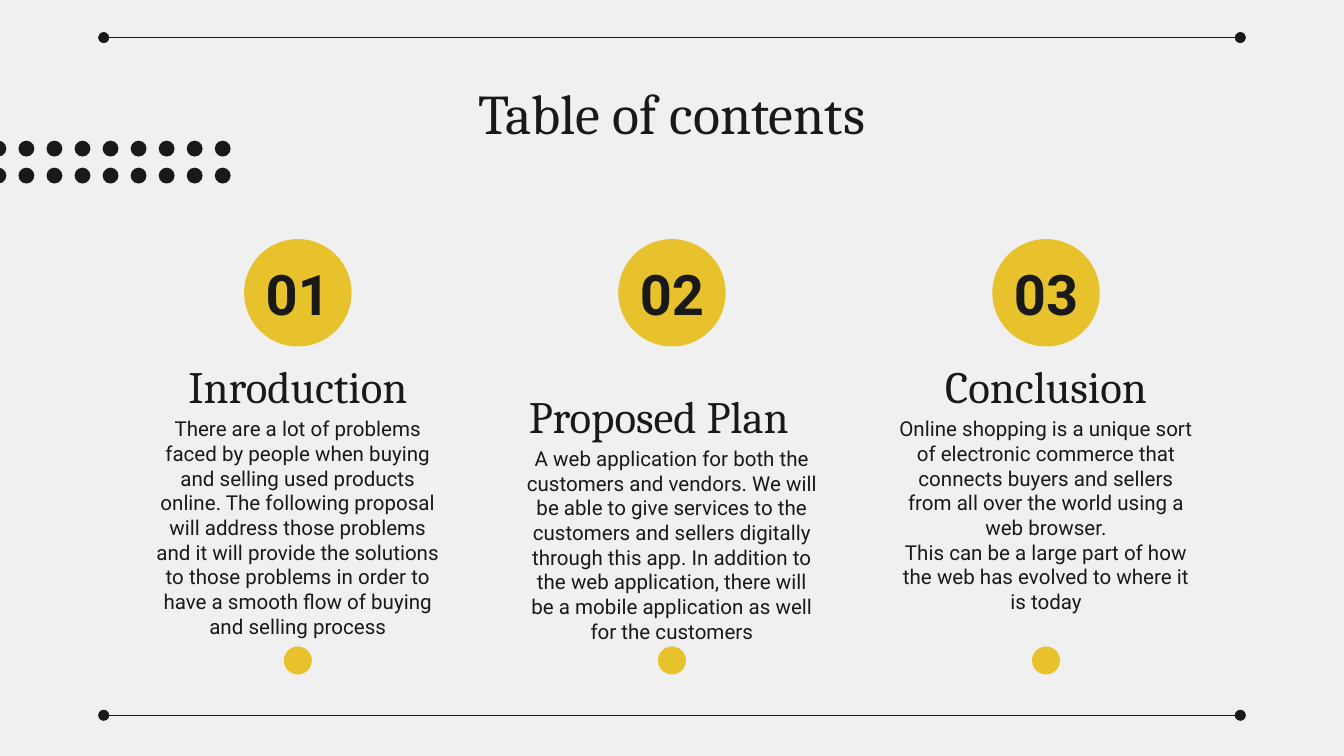
"""Build the table of contents slide with three numbered sections."""
import pptx
import pptx.dml.color
import pptx.enum.shapes
import pptx.enum.text
import pptx.oxml
import pptx.oxml.ns
import pptx.util
import lxml.etree

Cm = pptx.util.Cm
Anchor = pptx.enum.text.MSO_ANCHOR
BACKGROUND = pptx.dml.color.RGBColor(0xF0, 0xF0, 0xF0)
YELLOW = pptx.dml.color.RGBColor(0xE7, 0xC2, 0x2C)
BLACK = pptx.dml.color.RGBColor(0x19, 0x19, 0x19)
SERIF = "Cambria"
SANS = "Roboto"

SECTIONS = [
    ("01", "Inroduction", 0, 0, 4.6, [
        "There are a lot of problems faced by people when buying and selling used "
        "products online. The following proposal will address those problems and it "
        "will provide the solutions to those problems in order to have a smooth flow "
        "of buying and selling process"]),
    ("02", "Proposed Plan", -0.25, 0.56, 3.86, [
        "A web application for both the customers and vendors. We will be able to give "
        "services to the customers and sellers digitally through this app. In addition "
        "to the web application, there will be a mobile application as well for the "
        "customers"]),
    ("03", "Conclusion", 0, 0, 4.17, [
        "Online shopping is a unique sort of electronic commerce that connects buyers "
        "and sellers from all over the world using a web browser.",
        "This can be a large part of how the web has evolved to where it is today"]),
]


class SlideBuilder:
    def __init__(self, slide):
        self.slide = slide
        background = slide.background.fill
        background.solid()
        background.fore_color.rgb = BACKGROUND

    def circle(self, left, top, size, color, shapes=None):
        shapes = self.slide.shapes if shapes is None else shapes
        shape = shapes.add_shape(pptx.enum.shapes.MSO_SHAPE.OVAL,
                                 Cm(left), Cm(top), Cm(size), Cm(size))
        shape.shadow.inherit = False
        shape.fill.solid()
        shape.fill.fore_color.rgb = color
        shape.line.fill.background()

    def text(self, left, top, width, height, paragraphs, font, size,
             anchor=Anchor.TOP, bold=False):
        box = self.slide.shapes.add_textbox(Cm(left), Cm(top), Cm(width), Cm(height))
        frame = box.text_frame
        frame.word_wrap = True
        frame.vertical_anchor = anchor
        frame.margin_left = frame.margin_right = Cm(0.25)
        frame.margin_top = frame.margin_bottom = Cm(0.25)
        for index, content in enumerate(paragraphs):
            paragraph = frame.add_paragraph() if index else frame.paragraphs[0]
            paragraph.alignment = pptx.enum.text.PP_ALIGN.CENTER
            run = paragraph.add_run()
            run.text = content
            run.font.name = font
            run.font.size = pptx.util.Pt(size)
            run.font.bold = bold
            run.font.color.rgb = BLACK

    def rule(self, left, right, top):
        connector = self.slide.shapes.add_connector(
            pptx.enum.shapes.MSO_CONNECTOR.STRAIGHT, Cm(left), Cm(top), Cm(right), Cm(top))
        connector.line.color.rgb = BLACK
        connector.line.width = pptx.util.Pt(0.75)
        outline = connector.line._get_or_add_ln()
        for end in ("a:headEnd", "a:tailEnd"):
            lxml.etree.SubElement(outline, pptx.oxml.ns.qn(end), type="oval")
        lxml.etree.SubElement(connector._element.spPr, pptx.oxml.ns.qn("a:effectLst"))

    def dot_grid(self, left, top, columns, rows, column_step, row_step, size):
        group = self.slide.shapes.add_group_shape()
        for column in range(columns):
            for row in range(rows):
                self.circle(left + column * column_step, top + row * row_step,
                            size, BLACK, group.shapes)

    def section(self, center, number, heading, shift, drop, height, body):
        badge, marker, width = 2.03, 0.53, 6.05
        left = center - width / 2
        self.circle(center - badge / 2, 4.52, badge, YELLOW)
        self.text(center - badge / 2, 4.93, badge, 1.24, [number], SANS, 30,
                  Anchor.MIDDLE, True)
        self.text(left + shift, 6.58 + drop, width, 1.47, [heading], SERIF, 24,
                  Anchor.BOTTOM)
        self.text(left, 7.62 + drop, width, height, body, SANS, 11)
        self.circle(center - marker / 2, 12.22, marker, YELLOW)


def main():
    presentation = pptx.Presentation()
    presentation.slide_width = Cm(25.4)
    presentation.slide_height = Cm(14.29)
    builder = SlideBuilder(presentation.slides.add_slide(presentation.slide_layouts[6]))
    builder.text(2, 1.24, 21.4, 1.6, ["Table of contents"], SERIF, 30)
    for index, section in enumerate(SECTIONS):
        builder.section(12.7 + (index - 1) * 7.07, *section)
    for top in (0.71, 13.52):
        builder.rule(1.96, 23.44, top)
    builder.dot_grid(-0.18, 2.66, 9, 2, 0.53, 0.51, 0.3)
    presentation.save("out.pptx")


if __name__ == "__main__":
    main()
